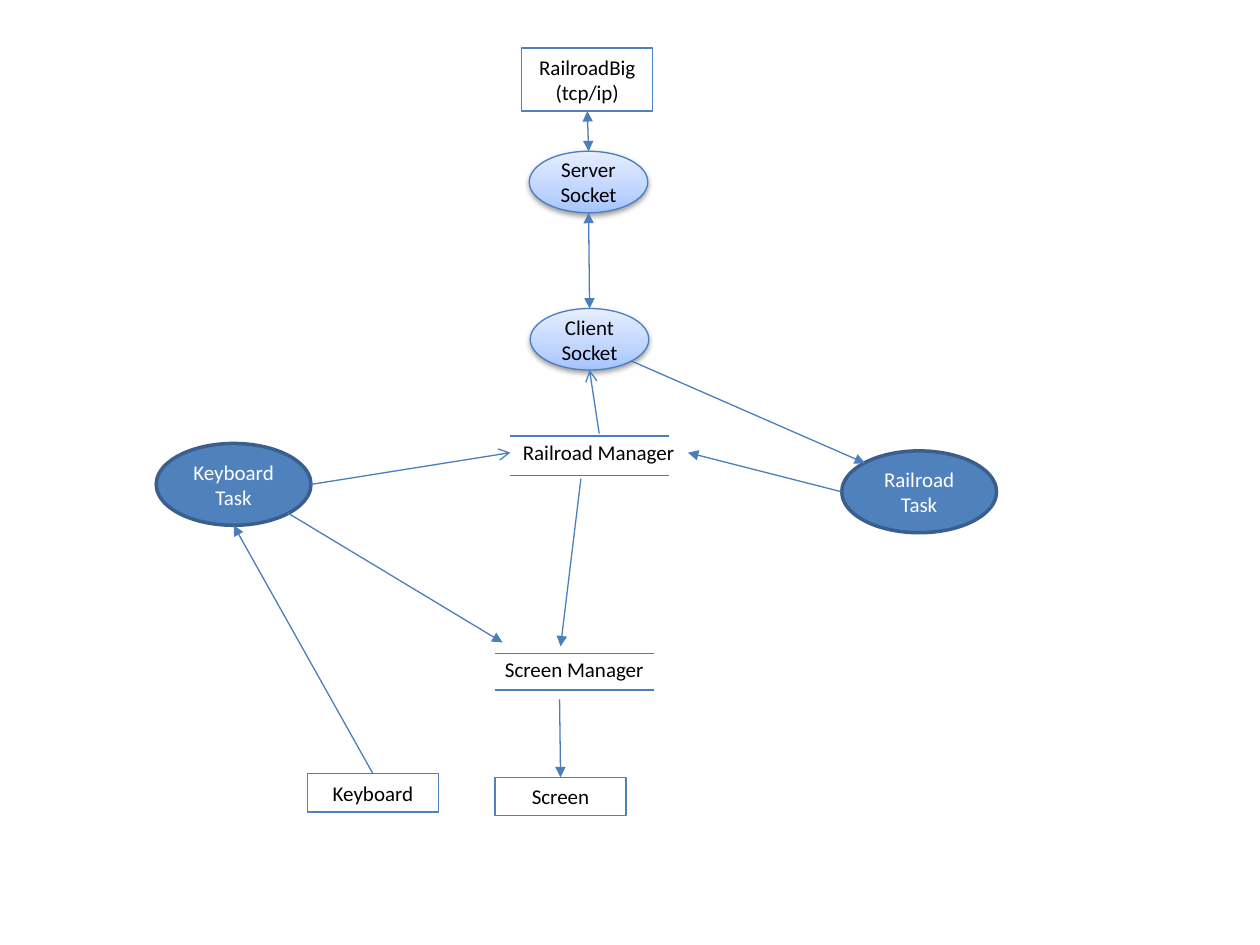
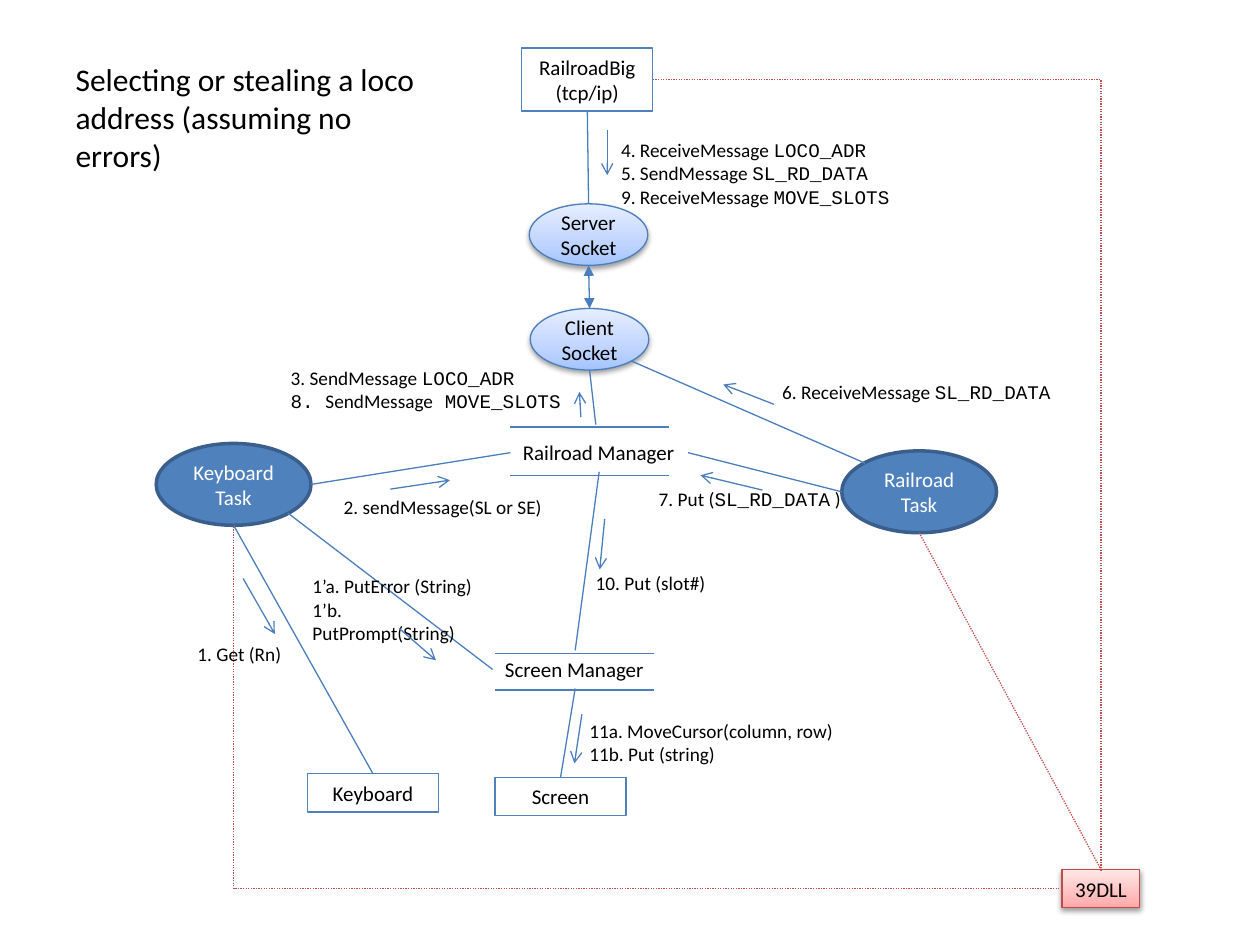
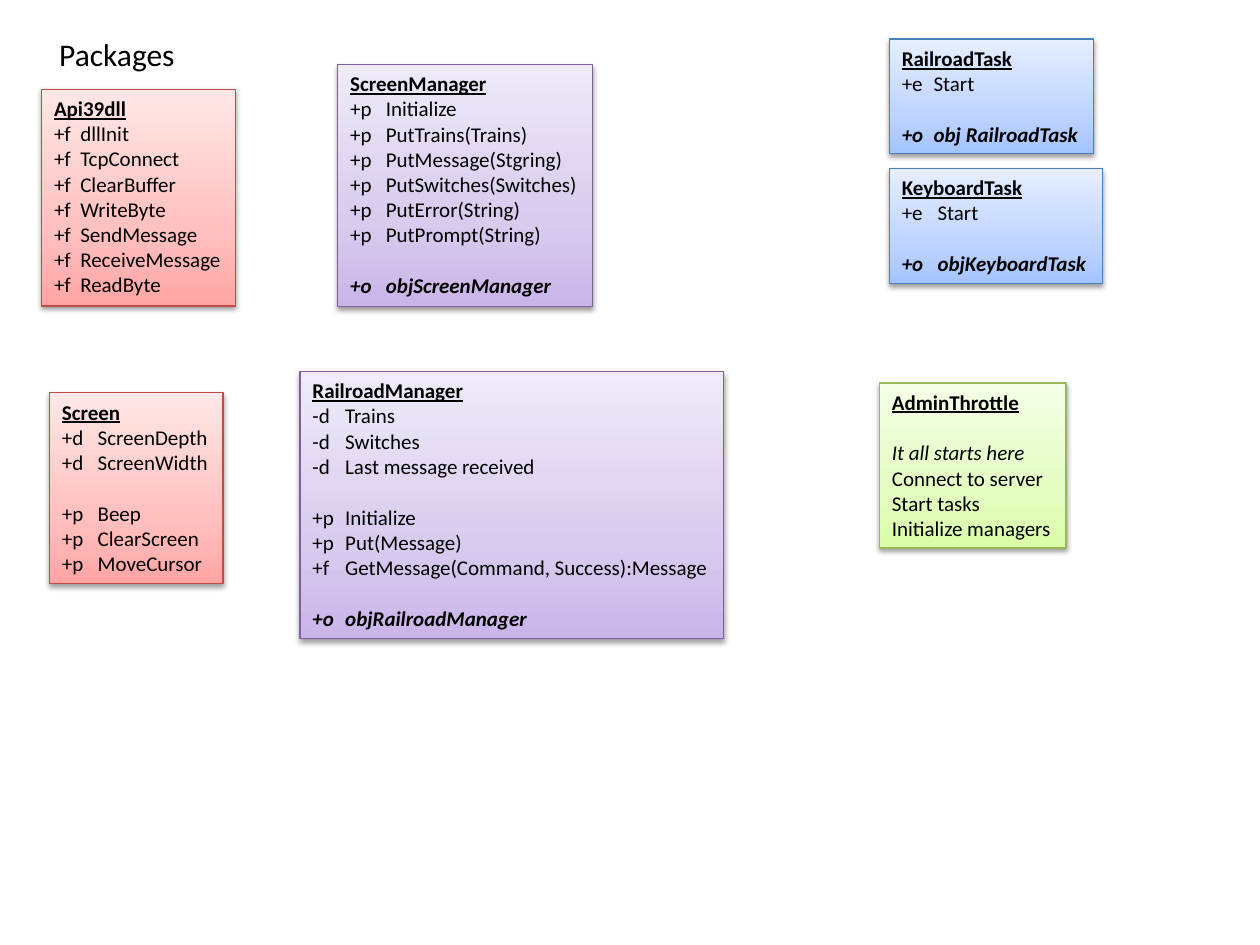
from copy import deepcopy

from lxml import etree
from pptx import Presentation
from pptx.dml.color import RGBColor
from pptx.enum.dml import MSO_LINE
from pptx.enum.shapes import MSO_CONNECTOR, MSO_SHAPE
from pptx.enum.text import MSO_ANCHOR, MSO_AUTO_SIZE, PP_ALIGN
from pptx.oxml.ns import qn
from pptx.util import Cm, Pt

RECT, OVAL = MSO_SHAPE.RECTANGLE, MSO_SHAPE.OVAL
STRAIGHT, ELBOW = MSO_CONNECTOR.STRAIGHT, MSO_CONNECTOR.ELBOW
LEFT, CENTER = PP_ALIGN.LEFT, PP_ALIGN.CENTER
TOP, MIDDLE = MSO_ANCHOR.TOP, MSO_ANCHOR.MIDDLE
TITLE_ONLY, BLANK = 5, 6

FONT, CODE_FONT = "Calibri", "Courier New"
BLACK = RGBColor(0x00, 0x00, 0x00)
WHITE = RGBColor(0xFF, 0xFF, 0xFF)
BLUE = RGBColor(0x4F, 0x81, 0xBD)
DARK_BLUE = RGBColor(0x3A, 0x5F, 0x8C)
LINK_BLUE = RGBColor(0x4B, 0x7E, 0xBC)
LINK_RED = RGBColor(0xBF, 0x4C, 0x48)
LINE_PURPLE = RGBColor(0x7D, 0x60, 0xA0)
LINE_GREEN = RGBColor(0x98, 0xB9, 0x55)

# Theme: outline, then the gradient from bottom to top
STOPS = (0, 0.35, 1)
BLUES = (LINK_BLUE, RGBColor(0xA4, 0xC4, 0xFF), RGBColor(0xBF, 0xD4, 0xFF), RGBColor(0xE6, 0xEE, 0xFF))
REDS = (LINK_RED, RGBColor(0xFF, 0xA6, 0xA5), RGBColor(0xFF, 0xC0, 0xBF), RGBColor(0xFF, 0xE7, 0xE7))
PURPLES = (LINE_PURPLE, RGBColor(0xC9, 0xB5, 0xE8), RGBColor(0xD8, 0xCB, 0xEE), RGBColor(0xF0, 0xEA, 0xF9))
GREENS = (LINE_GREEN, RGBColor(0xDA, 0xFD, 0xA7), RGBColor(0xE4, 0xFC, 0xC2), RGBColor(0xF5, 0xFF, 0xE7))

# Connection sites as fractions of a node's width and height
SITES = {"top": (0.5, 0), "bottom": (0.5, 1), "left": (0, 0.5), "right": (1, 0.5),
         "top left": (0.15, 0.15), "bottom right": (0.85, 0.85)}

# Each message: left, top, width, lines, then its arrow from and to
MESSAGES = [
    (15.52, 7.54, 6.07, ["6. ReceiveMessage `SL_RD_DATA`"], (15.6, 8.15), (14.58, 7.75)),
    (12.27, 2.67, 6.22, ["4. ReceiveMessage `LOCO_ADR`", "5. SendMessage `SL_RD_DATA`",
                         "9. ReceiveMessage `MOVE_SLOTS`"], (12.24, 2.62), (12.24, 3.53)),
    (13.03, 9.7, 4.22, ["7. Put (`SL_RD_DATA` )"], (15.37, 9.88), (14.12, 9.58)),
    (11.76, 11.4, 2.74, ["10. Put (slot#)"], (12.19, 10.46), (12.09, 11.48)),
    (11.63, 14.38, 5.49, ["11a. MoveCursor(column, row)", "11b. Put (string)"],
     (11.73, 14.4), (11.58, 15.39)),
    (3.73, 12.83, 2.24, ["1. Get (Rn)"], (4.9, 11.66), (5.54, 12.78)),
    (5.61, 7.26, 6.22, ["3. SendMessage `LOCO_ADR`", "`8. `SendMessage` MOVE_SLOTS`"],
     (11.71, 8.41), (11.68, 7.9)),
    (6.68, 9.86, 4.52, ["2. sendMessage(SL or SE)"], (7.87, 9.86), (9.07, 9.68)),
    (6.05, 11.46, 4.06, ["1’a. PutError (String)", "1’b. PutPrompt(String)"],
     (8.05, 12.67), (8.79, 13.31)),
]

# Each package: box, theme, tab stop, groups of lines (the first line is the name)
PACKAGES = [
    ((0.84, 1.8, 3.91, 4.37), REDS, 0.53,
     [["Api39dll", "+f dllInit", "+f TcpConnect", "+f ClearBuffer", "+f WriteByte",
       "+f SendMessage", "+f ReceiveMessage", "+f ReadByte"]]),
    ((1, 7.92, 3.5, 3.84), REDS, 0.72,
     [["Screen", "+d ScreenDepth", "+d ScreenWidth"],
      ["+p Beep", "+p ClearScreen", "+p MoveCursor"]]),
    ((6.81, 1.3, 5.13, 4.88), PURPLES, 0.72,
     [["ScreenManager", "+p Initialize", "+p PutTrains(Trains)", "+p PutMessage(Stgring)",
       "+p PutSwitches(Switches)", "+p PutError(String)", "+p PutPrompt(String)"],
      ["+o objScreenManager"]]),
    ((17.93, 0.79, 4.11, 2.31), BLUES, 0.64,
     [["RailroadTask", "+e Start"], ["+o obj RailroadTask"]]),
    ((6.05, 7.49, 8.53, 5.38), PURPLES, 0.66,
     [["RailroadManager", "-d Trains", "-d Switches", "-d Last message received"],
      ["+p Initialize", "+p Put(Message)", "+f GetMessage(Command, Success):Message"],
      ["+o objRailroadManager"]]),
    ((17.73, 7.72, 3.76, 3.33), GREENS, 0.72,
     [["AdminThrottle"],
      ["It all starts here", "Connect to server", "Start tasks", "Initialize managers"]]),
    ((17.93, 3.4, 4.29, 2.31), BLUES, 0.72,
     [["KeyboardTask", "+e Start"], ["+o objKeyboardTask"]]),
]


def cm(*values):
    return tuple(Cm(v) for v in values)


def style_runs(p, size, color=BLACK, align=LEFT):
    p.alignment = align
    for r in p.runs:
        r.font.name, r.font.size, r.font.color.rgb = FONT, Pt(size), color


def add_title(slide, text, box):
    title = slide.shapes.title
    title.left, title.top, title.width, title.height = cm(*box)
    tf = title.text_frame
    tf.text = text
    tf.word_wrap, tf.auto_size, tf.vertical_anchor = True, MSO_AUTO_SIZE.NONE, TOP
    style_runs(tf.paragraphs[0], 18)


def add_node(slide, kind, text, box, line, width=0.75, fill=None, color=BLACK):
    sp = slide.shapes.add_shape(kind, *cm(*box))
    sp.shadow.inherit = False
    sp.line.color.rgb, sp.line.width = line, Pt(width)
    if fill is None:
        sp.fill.background()
    else:
        sp.fill.solid()
        sp.fill.fore_color.rgb = fill
    sp.text_frame.text = text
    sp.text_frame.vertical_anchor = MIDDLE
    for p in sp.text_frame.paragraphs:
        style_runs(p, 12, color, CENTER)
    return sp


def add_glossy_node(slide, kind, text, box, theme):
    """Add a node with a three-stop gradient and a soft shadow."""
    sp = add_node(slide, kind, text, box, theme[0])
    sp.fill.gradient()
    sp.fill.gradient_angle = 90
    stops = sp._element.spPr.find(".//" + qn("a:gsLst"))
    stops.append(deepcopy(stops[1]))
    for stop, position, color in zip(sp.fill.gradient_stops, STOPS, theme[1:]):
        stop.position, stop.color.rgb = position, color
    effects = sp._element.spPr.find(qn("a:effectLst"))
    shadow = etree.SubElement(effects, qn("a:outerShdw"), blurRad="40000", dist="20000",
                              dir="5400000", rotWithShape="0")
    black = etree.SubElement(shadow, qn("a:srgbClr"), val="000000")
    etree.SubElement(black, qn("a:alpha"), val="38000")
    return sp


def add_label(slide, box, lines, size):
    """Add a text box; text between backticks is set as code."""
    tb = slide.shapes.add_textbox(*cm(*box))
    tf = tb.text_frame
    tf.word_wrap, tf.auto_size = False, MSO_AUTO_SIZE.SHAPE_TO_FIT_TEXT
    for i, line in enumerate(lines):
        p = tf.add_paragraph() if i else tf.paragraphs[0]
        parts = [(k % 2, part) for k, part in enumerate(line.split("`")) if part]
        for _, part in parts:
            p.add_run().text = part
        style_runs(p, size)
        for r, (is_code, _) in zip(p.runs, parts):
            if is_code:
                r.font.name = CODE_FONT
    return tb


def site(node, name):
    fx, fy = SITES[name]
    return int(node.left + fx * node.width), int(node.top + fy * node.height)


def add_link(slide, start, end, head=None, tail=None, color=LINK_BLUE, dotted=False, kind=STRAIGHT):
    cxn = slide.shapes.add_connector(kind, *start, *end)
    cxn.line.color.rgb, cxn.line.width = color, Pt(0.75)
    if dotted:
        cxn.line.dash_style = MSO_LINE.ROUND_DOT
    sp_pr = cxn._element.spPr
    ln = sp_pr.find(qn("a:ln"))
    for tag, arrow in (("a:headEnd", head), ("a:tailEnd", tail)):
        if arrow:
            etree.SubElement(ln, qn(tag), type=arrow)
    if kind == ELBOW:
        sp_pr.find(qn("a:prstGeom")).set("prst", "bentConnector2")
    etree.SubElement(sp_pr, qn("a:effectLst"))


def add_manager(slide, text, box, bar_left, bar_offsets):
    """Add a data store: its name between two bars offset from the box."""
    x, y = box[:2]
    for dy in bar_offsets:
        add_link(slide, cm(x + bar_left, y + dy), cm(x + bar_left + 3.2, y + dy))
    return add_label(slide, box, [text], 12)


def add_architecture(slide, server_top, railroad_bar):
    """Add the nodes both diagrams share and return them by name."""
    return {
        "big": add_node(slide, RECT, "RailroadBig\n(tcp/ip)", (10.52, 0.97, 2.64, 1.27), BLUE),
        "screen": add_node(slide, RECT, "Screen", (9.98, 15.67, 2.64, 0.77), BLUE),
        "keyboard": add_node(slide, RECT, "Keyboard", (6.2, 15.6, 2.64, 0.77), BLUE),
        "keyboard task": add_node(slide, OVAL, "Keyboard Task", (3.15, 8.94, 3.12, 1.65),
                                  DARK_BLUE, 2, BLUE, WHITE),
        "railroad task": add_node(slide, OVAL, "Railroad Task", (16.97, 9.09, 3.12, 1.65),
                                  DARK_BLUE, 2, BLUE, WHITE),
        "screen manager": add_manager(slide, "Screen Manager", (9.93, 13.11, 3.33, 0.77),
                                      0.05, (0.07, 0.8)),
        "railroad manager": add_manager(slide, "Railroad Manager", (10.29, 8.74, 3.58, 0.77),
                                        0, (railroad_bar, 0.84)),
        "server": add_glossy_node(slide, OVAL, "Server Socket", (10.67, server_top, 2.39, 1.24), BLUES),
        "client": add_glossy_node(slide, OVAL, "Client\vSocket", (10.69, 6.22, 2.39, 1.24), BLUES),
    }


def add_links(slide, nodes, links):
    """Join (start, end, head, tail); an end is (node, site) or a point in cm."""
    def locate(end):
        return site(nodes[end[0]], end[1]) if end[0] in nodes else cm(*end)

    for start, end, head, tail in links:
        add_link(slide, locate(start), locate(end), head, tail)


def build_task_diagram(prs):
    slide = prs.slides.add_slide(prs.slide_layouts[BLANK])
    nodes = add_architecture(slide, 3.05, 0.05)
    solid = "triangle"
    add_links(slide, nodes, [
        (("client", "bottom right"), ("railroad task", "top left"), None, solid),
        (("keyboard", "top"), ("keyboard task", "bottom"), None, solid),
        (("railroad task", "left"), ("railroad manager", "right"), None, solid),
        ((11.28, 14.1), ("screen", "top"), None, solid),
        ((11.71, 9.65), (11.3, 13.03), None, solid),
        (("keyboard task", "bottom right"), (10.13, 12.95), None, solid),
        (("big", "bottom"), ("server", "top"), solid, solid),
        (("server", "bottom"), ("client", "top"), solid, solid),
        (("railroad manager", "top"), ("client", "bottom"), None, "arrow"),
        (("keyboard task", "right"), ("railroad manager", "left"), None, "arrow"),
    ])


def build_message_diagram(prs):
    slide = prs.slides.add_slide(prs.slide_layouts[TITLE_ONLY])
    add_title(slide, "Selecting or stealing a loco address (assuming no errors)", (1.27, 1.09, 7.9, 2.57))
    nodes = add_architecture(slide, 4.11, -0.13)
    add_links(slide, nodes, [
        ((12.01, 8.56), ("client", "bottom"), None, None),
        (("client", "bottom right"), ("railroad task", "top left"), None, None),
        (("keyboard", "top"), ("keyboard task", "bottom"), None, None),
        (("railroad task", "left"), ("railroad manager", "right"), None, None),
        (("screen manager", "bottom"), ("screen", "top"), None, None),
        (("railroad manager", "left"), ("keyboard task", "right"), None, None),
        (("railroad manager", "bottom"), ("screen manager", "top"), None, None),
        (("big", "bottom"), ("server", "top"), None, None),
        (("server", "bottom"), ("client", "top"), "triangle", "triangle"),
        (("keyboard task", "bottom right"), ("screen manager", "left"), None, None),
    ])
    for x, y, w, lines, start, end in MESSAGES:
        add_label(slide, (x, y, w, 0.26 + 0.47 * len(lines)), lines, 11)
        add_link(slide, cm(*start), cm(*end), tail="arrow")

    dll = add_glossy_node(slide, RECT, "39DLL", (21.41, 17.53, 1.57, 0.77), REDS)
    dll.text_frame.word_wrap = False
    for start, end, kind in (
        (site(nodes["railroad task"], "bottom"), site(dll, "top"), STRAIGHT),
        (site(dll, "left"), site(nodes["keyboard task"], "bottom"), ELBOW),
        (site(nodes["big"], "right"), site(dll, "top"), ELBOW),
    ):
        add_link(slide, start, end, color=LINK_RED, dotted=True, kind=kind)


def add_package(slide, box, theme, tab, groups):
    """Add a package card: underlined name, then members aligned at a tab stop."""
    sp = add_glossy_node(slide, RECT, "", box, theme)
    tf = sp.text_frame
    tf.vertical_anchor, tf.margin_right = TOP, 0
    for g, lines in enumerate(groups):
        for i, line in enumerate(lines):
            is_name = g == i == 0
            is_member = line[0] in "+-"
            p = tf.paragraphs[0] if is_name else tf.add_paragraph()
            p.text = line.replace(" ", "\t", 1) if is_member else line
            style_runs(p, 12)
            if g and i == 0:
                p.space_before = Pt(14.6)
            is_object = line.startswith("+o")
            for r in p.runs:
                r.font.bold = is_name or is_object
                r.font.underline = is_name
                r.font.italic = is_object or line == "It all starts here"
            if is_member:
                tabs = etree.SubElement(p._p.get_or_add_pPr(), qn("a:tabLst"))
                etree.SubElement(tabs, qn("a:tab"), pos=str(Cm(tab)), algn="l")


def build_packages(prs):
    slide = prs.slides.add_slide(prs.slide_layouts[TITLE_ONLY])
    add_title(slide, "Packages", (0.94, 0.58, 3.2, 1.03))
    for package in PACKAGES:
        add_package(slide, *package)


def main():
    prs = Presentation()
    prs.slide_width, prs.slide_height = cm(25.4, 19.05)
    build_task_diagram(prs)
    build_message_diagram(prs)
    build_packages(prs)
    prs.save("out.pptx")


if __name__ == "__main__":
    main()
